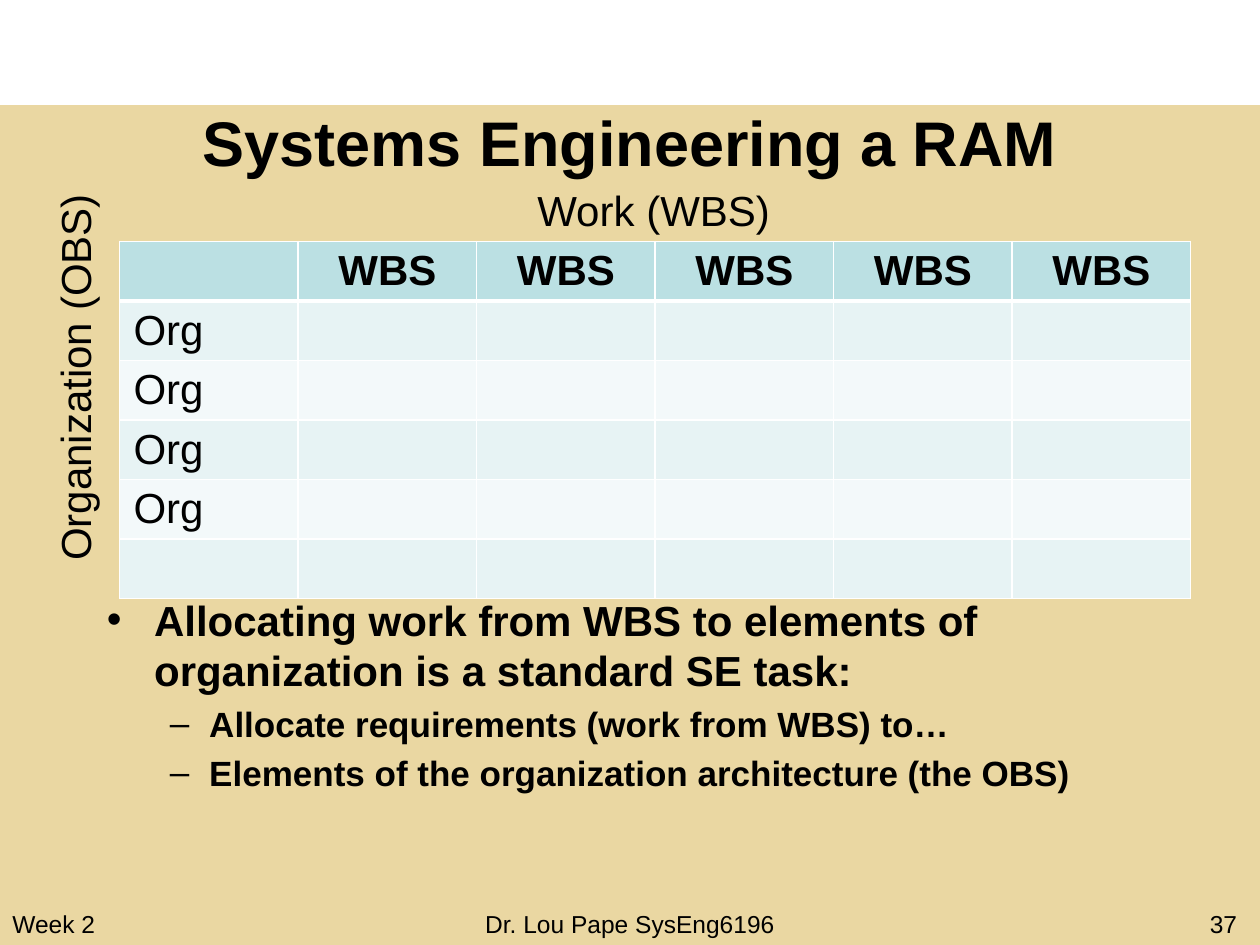
from dataclasses import dataclass

from lxml.etree import SubElement
from pptx import Presentation
from pptx.dml.color import RGBColor
from pptx.enum.shapes import MSO_SHAPE
from pptx.enum.text import MSO_ANCHOR, MSO_AUTO_SIZE, PP_ALIGN
from pptx.oxml.ns import qn
from pptx.util import Pt


@dataclass(frozen=True)
class Theme:
    """Hold the colours, font and type sizes of the slide."""

    font: str = "Arial"
    ink: str = "000000"
    sand: str = "EAD7A2"
    header: str = "BBE0E3"
    bands: tuple = ("E7F3F4", "F3F9FA")
    border: str = "FFFFFF"
    title: int = 36
    text: int = 24
    detail: int = 20
    footer: int = 14


@dataclass(frozen=True)
class Box:
    """Describe a region in points."""

    left: float
    top: float
    width: float
    height: float

    def lengths(self):
        """Return the four sides as slide lengths."""
        return [Pt(side) for side in (self.left, self.top, self.width, self.height)]


THEME = Theme()


def set_values(target, values):
    """Set each named attribute of the target."""
    for name, value in values.items():
        setattr(target, name, value)


def write_text(para, text, size, bold=False, align=None):
    """Write one formatted span into a paragraph."""
    para.alignment = align
    span = para.add_run()
    span.text = text
    set_values(span.font, {"name": THEME.font, "size": Pt(size), "bold": bold})
    span.font.color.rgb = RGBColor.from_string(THEME.ink)


def add_background(page, box):
    """Place the sand panel behind the title."""
    panel = page.shapes.add_shape(MSO_SHAPE.RECTANGLE, *box.lengths())
    panel.shadow.inherit = False
    panel.fill.solid()
    panel.fill.fore_color.rgb = RGBColor.from_string(THEME.sand)
    panel.line.fill.background()
    page.shapes.title.element.addprevious(panel.element)


def add_title(page, box, text):
    """Move and fill the title placeholder."""
    title = page.shapes.title
    set_values(title, dict(zip(("left", "top", "width", "height"), box.lengths())))
    title.text_frame.vertical_anchor = MSO_ANCHOR.MIDDLE
    write_text(title.text_frame.paragraphs[0], text, THEME.title, True, PP_ALIGN.CENTER)


def add_axis_label(page, box, text, rotation=0):
    """Place an unwrapped axis label, turned if asked."""
    label = page.shapes.add_textbox(*box.lengths())
    label.rotation = rotation
    set_values(label.text_frame, {"word_wrap": False, "auto_size": MSO_AUTO_SIZE.SHAPE_TO_FIT_TEXT})
    write_text(label.text_frame.paragraphs[0], text, THEME.text)


def add_borders(cell, top, bottom):
    """Draw the four borders of a cell."""
    properties = cell._tc.get_or_add_tcPr()
    for side, width in {"lnL": 1, "lnR": 1, "lnT": top, "lnB": bottom}.items():
        line = SubElement(properties, qn(f"a:{side}"), w=str(Pt(width)))
        fill = SubElement(line, qn("a:solidFill"))
        SubElement(fill, qn("a:srgbClr"), val=THEME.border)


def format_empty(para):
    """Give an empty paragraph the table's font and size."""
    properties = SubElement(para._p, qn("a:endParaRPr"), sz=str(THEME.text * 100))
    SubElement(properties, qn("a:latin"), typeface=THEME.font)


def add_matrix(page, box, rows):
    """Build the responsibility table with a header and banded rows."""
    table = page.shapes.add_table(len(rows), len(rows[0]), *box.lengths()).table
    for column in table.columns:
        column.width = Pt(box.width / len(rows[0]))
    for index, values in enumerate(rows):
        table.rows[index].height = Pt(box.height / len(rows))
        header = index == 0
        color = THEME.header if header else THEME.bands[(index - 1) % 2]
        for column, text in enumerate(values):
            cell = table.cell(index, column)
            add_borders(cell, 3 if index == 1 else 1, 3 if header else 1)
            cell.fill.solid()
            cell.fill.fore_color.rgb = RGBColor.from_string(color)
            set_values(cell, {"margin_left": Pt(7.92), "margin_right": Pt(7.92),
                              "margin_top": Pt(3.6), "margin_bottom": Pt(3.6)})
            para = cell.text_frame.paragraphs[0]
            if text:
                write_text(para, text, THEME.text, header, PP_ALIGN.CENTER if header else None)
            else:
                format_empty(para)


def add_bullets(page, box, items):
    """Write the two-level bullet list."""
    styles = [("•", THEME.text, 27, -27), ("–", THEME.detail, 58.5, -22.5)]
    frame = page.shapes.add_textbox(*box.lengths()).text_frame
    frame.word_wrap = True
    for index, (level, text) in enumerate(items):
        bullet, size, margin, indent = styles[level]
        para = frame.add_paragraph() if index else frame.paragraphs[0]
        set_values(para, {"level": level, "space_before": Pt(size * 0.2)})
        write_text(para, text, size, True)
        properties = para._p.get_or_add_pPr()
        properties.set("marL", str(Pt(margin)))
        properties.set("indent", str(Pt(indent)))
        SubElement(properties, qn("a:buFont"), typeface=THEME.font)
        SubElement(properties, qn("a:buChar"), char=bullet)


def add_footer(page, box, text, align):
    """Place one part of the footer."""
    frame = page.shapes.add_textbox(*box.lengths()).text_frame
    frame.word_wrap = True
    write_text(frame.paragraphs[0], text, THEME.footer, align=align)


def main():
    """Build and save the slide."""
    deck = Presentation()
    set_values(deck, {"slide_width": Pt(720), "slide_height": Pt(540)})
    page = deck.slides.add_slide(deck.slide_layouts[5])
    add_background(page, Box(0, 60, 720, 480))
    add_title(page, Box(54, 54, 612, 54), "Systems Engineering a RAM")
    rows = [["", *["WBS"] * 5], *[["Org", *[""] * 5] for _ in range(4)], [""] * 6]
    add_matrix(page, Box(68.4, 138, 612, 175), rows)
    footers = [
        (Box(0, 516, 150, 36), "Week 2", PP_ALIGN.LEFT),
        (Box(246, 516, 228, 36), "Dr. Lou Pape SysEng6196", PP_ALIGN.CENTER),
        (Box(564, 516, 150, 36), "37", PP_ALIGN.RIGHT),
    ]
    for box, text, align in footers:
        add_footer(page, box, text, align)
    add_axis_label(page, Box(-70.5, 196.5, 226, 36), "Organization (OBS)", 270)
    add_axis_label(page, Box(300, 102, 148, 36), "Work (WBS)")
    add_bullets(page, Box(54, 336, 612, 168), [
        (0, "Allocating work from WBS to elements of organization is a standard SE task:"),
        (1, "Allocate requirements (work from WBS) to…"),
        (1, "Elements of the organization architecture (the OBS)"),
    ])
    deck.save("out.pptx")


if __name__ == "__main__":
    main()
